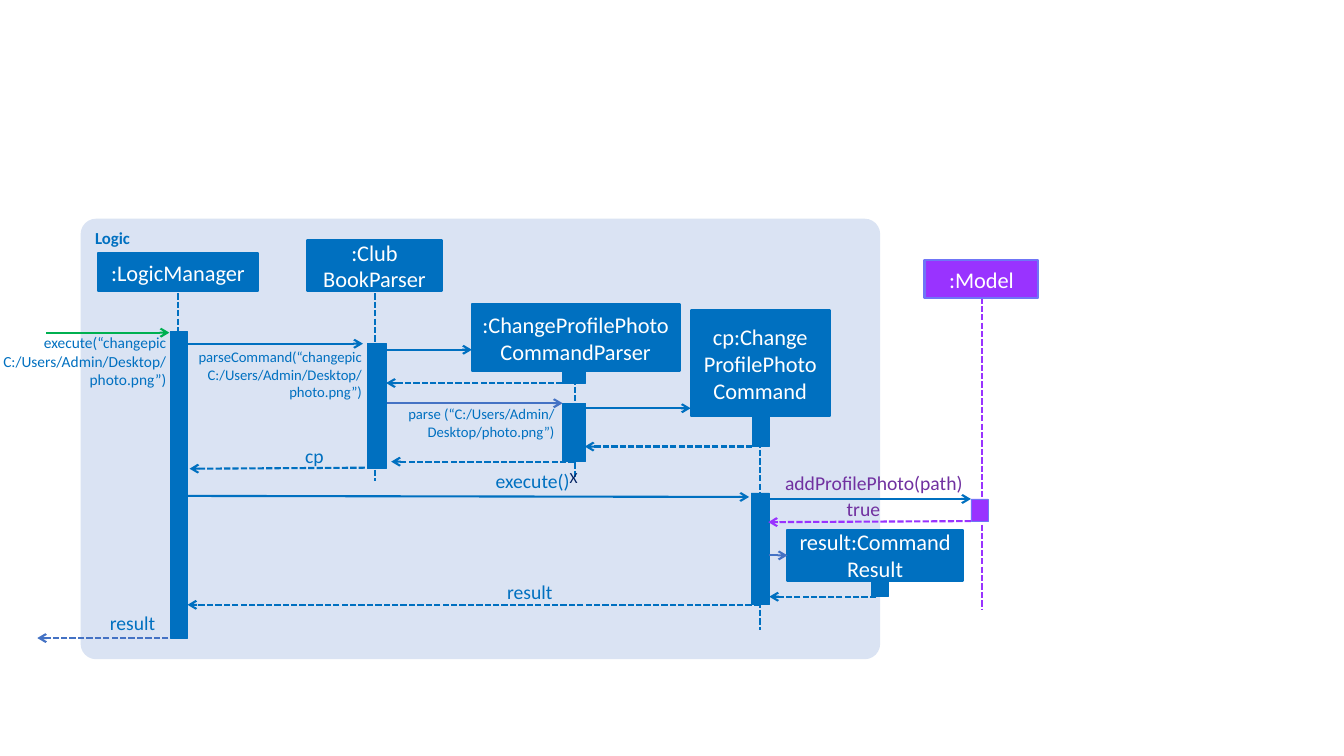
import pptx
import pptx.util
import pptx.dml.color
import pptx.enum.dml
import pptx.enum.shapes
import pptx.enum.text
import pptx.oxml.ns
import lxml.etree

Inches, Pt = pptx.util.Inches, pptx.util.Pt
RGB = pptx.dml.color.RGBColor.from_string
SHAPE = pptx.enum.shapes.MSO_SHAPE
ALIGN = pptx.enum.text.PP_ALIGN
ANCHOR = pptx.enum.text.MSO_ANCHOR
qn = pptx.oxml.ns.qn

C = {
    "logic": "0070C0", "frame": "DAE3F3", "model": "9933FF", "model_line": "6F75F7",
    "model_text": "7030A0", "call": "00B050", "accent": "4472C4", "navy": "002060",
    "white": "FFFFFF",
}

prs = pptx.Presentation()
prs.slide_width, prs.slide_height = Inches(13.33), Inches(7.5)
s = prs.slides.add_slide(prs.slide_layouts[6])


def write(sp, text, size=16, color="white", bold=False, align=ALIGN.CENTER,
          anchor=ANCHOR.MIDDLE, inset=None, wrap=True):
    tf = sp.text_frame
    tf.word_wrap = wrap
    tf.vertical_anchor = anchor
    if inset is not None:
        tf.margin_left = tf.margin_right = tf.margin_top = tf.margin_bottom = Inches(inset)
    for i, line in enumerate(text.split("\n")):
        p = tf.add_paragraph() if i else tf.paragraphs[0]
        p.alignment = align
        r = p.add_run()
        r.text = line
        r.font.name, r.font.size, r.font.bold = "Calibri", Pt(size), bold
        r.font.color.rgb = RGB(C[color])


def draw_line(x1, y1, x2, y2, color="logic", dashed=False, arrow=False):
    cx = s.shapes.add_connector(pptx.enum.shapes.MSO_CONNECTOR.STRAIGHT,
                                Inches(x1), Inches(y1), Inches(x2), Inches(y2))
    cx.line.color.rgb = RGB(C[color])
    cx.line.width = Pt(1.5)
    if dashed:
        cx.line.dash_style = pptx.enum.dml.MSO_LINE.SQUARE_DOT
    if arrow:
        ln = cx.line._get_or_add_ln()
        lxml.etree.SubElement(ln, qn("a:tailEnd")).set("type", "arrow")
    lxml.etree.SubElement(cx._element.spPr, qn("a:effectLst"))


# Logic component frame
sp = s.shapes.add_shape(SHAPE.ROUNDED_RECTANGLE, Inches(0.8), Inches(2.17),
                        Inches(7.93), Inches(4.37))
sp.adjustments[0] = 0.035
sp.shadow.inherit = False
sp.fill.solid()
sp.fill.fore_color.rgb = RGB(C["frame"])
sp.line.fill.background()
write(sp, "Logic", size=12, color="logic", bold=True, align=ALIGN.LEFT, anchor=ANCHOR.TOP)

# Lifelines: x, top, bottom, colour
for x, top, bottom, color in [
    (1.77, 2.91, 5.75, "logic"),
    (3.72, 2.91, 4.77, "logic"),
    (5.7, 3.67, 4.75, "logic"),
    (7.54, 4.13, 6.25, "logic"),
    (9.74, 2.95, 6.05, "model"),
]:
    draw_line(x, top, x, bottom, color, dashed=True)

# Activation bars (no label) and participants: left, top, width, height, label, fill, outline
for x, y, w, h, label, fill, outline in [
    (1.69, 3.29, 0.17, 3.04, "", "logic", "logic"),
    (3.64, 3.41, 0.19, 1.24, "", "logic", "logic"),
    (5.58, 3.67, 0.23, 0.13, "", "logic", "logic"),
    (5.58, 4.0, 0.23, 0.58, "", "logic", "logic"),
    (7.46, 4.13, 0.17, 0.3, "", "logic", "logic"),
    (7.45, 4.89, 0.18, 1.11, "", "logic", "logic"),
    (8.64, 5.73, 0.17, 0.19, "", "logic", "logic"),
    (9.63, 4.95, 0.17, 0.22, "", "model", "model_line"),
    (0.97, 2.51, 1.59, 0.38, ":LogicManager", "logic", "logic"),
    (3.05, 2.38, 1.33, 0.51, ":Club\nBookParser", "logic", "logic"),
    (4.68, 3.02, 2.06, 0.66, ":ChangeProfilePhotoCommandParser", "logic", "logic"),
    (6.85, 3.08, 1.38, 1.05, "cp:Change ProfilePhotoCommand", "logic", "logic"),
    (7.81, 5.26, 1.74, 0.5, "result:Command Result", "logic", "logic"),
    (9.17, 2.58, 1.13, 0.38, ":Model", "model", "model_line"),
]:
    sp = s.shapes.add_shape(SHAPE.RECTANGLE, Inches(x), Inches(y), Inches(w), Inches(h))
    sp.shadow.inherit = False
    sp.fill.solid()
    sp.fill.fore_color.rgb = RGB(C[fill])
    sp.line.color.rgb = RGB(C[outline])
    sp.line.width = Pt(1.5 if label else 0.5)
    if label:
        write(sp, label)

# Calls: start x, y, end x, y, colour
for x1, y1, x2, y2, color in [
    (0.46, 3.3, 1.68, 3.3, "call"),
    (1.86, 3.41, 3.6, 3.41, "logic"),
    (3.78, 3.47, 4.68, 3.47, "logic"),
    (3.84, 4.0, 5.58, 4.0, "accent"),
    (5.8, 4.05, 6.85, 4.05, "logic"),
    (1.86, 4.92, 7.43, 4.93, "logic"),
    (7.63, 4.95, 9.63, 4.95, "logic"),
    (7.63, 5.51, 7.81, 5.51, "accent"),
]:
    draw_line(x1, y1, x2, y2, color, arrow=True)

# Returns: start x, y, end x, y, colour
for x1, y1, x2, y2, color in [
    (5.58, 3.8, 3.83, 3.8, "logic"),
    (7.46, 4.43, 5.8, 4.43, "logic"),
    (5.7, 4.58, 3.88, 4.58, "logic"),
    (3.62, 4.64, 1.88, 4.65, "logic"),
    (9.63, 5.17, 7.62, 5.18, "model"),
    (8.69, 5.92, 7.63, 5.92, "logic"),
    (7.54, 6.0, 1.86, 6.0, "logic"),
    (1.67, 6.33, 0.37, 6.33, "accent"),
]:
    draw_line(x1, y1, x2, y2, color, dashed=True, arrow=True)

# Message labels: left, top, width, height, text, size, colour
for x, y, w, h, text, size, color in [
    (0, 3.31, 1.65, 0.56, "execute(“changepic C:/Users/Admin/Desktop/ photo.png”)", 11, "logic"),
    (1.93, 3.45, 1.66, 0.53, "parseCommand(“changepic C:/Users/Admin/Desktop/ photo.png”)",
     10.5, "logic"),
    (3.89, 4.02, 1.61, 0.35, "parse (“C:/Users/Admin/ Desktop/photo.png”)", 10.5, "logic"),
    (2.97, 4.4, 0.24, 0.24, "cp", 14, "logic"),
    (4.71, 4.65, 0.94, 0.24, "execute()", 14, "logic"),
    (7.77, 4.67, 1.78, 0.24, "addProfilePhoto(path)", 14, "model_text"),
    (7.76, 4.93, 0.97, 0.24, "true", 14, "model_text"),
    (4.8, 5.75, 0.68, 0.24, "result", 14, "logic"),
    (0.71, 6.06, 0.83, 0.24, "result", 14, "logic"),
]:
    sp = s.shapes.add_textbox(Inches(x), Inches(y), Inches(w), Inches(h))
    write(sp, text, size=size, color=color, align=ALIGN.RIGHT, anchor=ANCHOR.TOP, inset=0)

# End of the command parser's life
sp = s.shapes.add_textbox(Inches(5.55), Inches(4.59), Inches(0.28), Inches(0.29))
write(sp, "X", size=11, color="navy", align=ALIGN.LEFT, anchor=ANCHOR.TOP, wrap=False)

prs.save("out.pptx")
